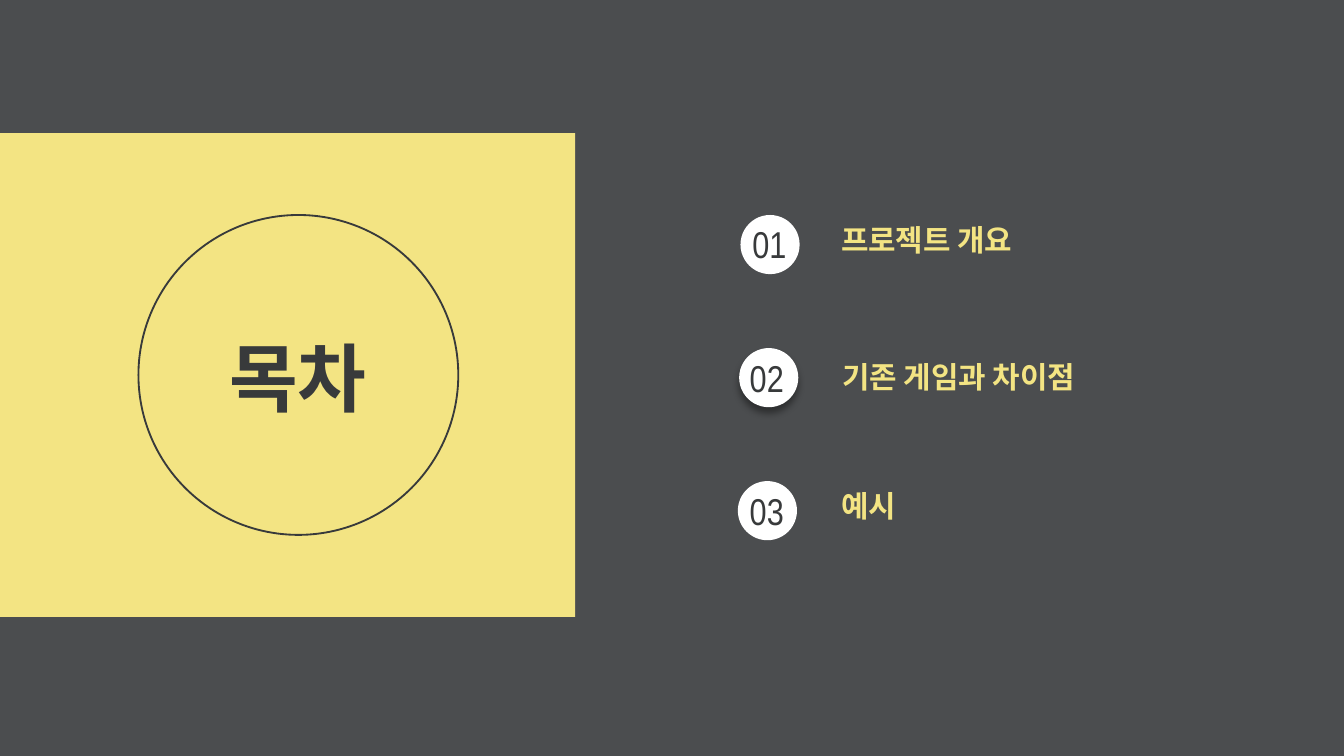
from lxml import etree
from pptx import Presentation
from pptx.dml.color import RGBColor
from pptx.enum import shapes, text
from pptx.oxml import parse_xml
from pptx.oxml.ns import nsdecls, qn
from pptx.util import Inches, Pt

COLORS = {"dark": "4B4D4F", "yellow": "F3E483", "ink": "383A3B", "white": "FFFFFF"}
KOREAN = "Noto Sans CJK KR"


def add_plain_shape(kind, left, top, width, height, fill=None, line=None):
    shape = slide.shapes.add_shape(
        kind, Inches(left), Inches(top), Inches(width), Inches(height))
    shape.shadow.inherit = False
    if fill:
        shape.fill.solid()
        shape.fill.fore_color.rgb = RGBColor.from_string(COLORS[fill])
    else:
        shape.fill.background()
    if line:
        shape.line.color.rgb = RGBColor.from_string(COLORS[line])
        shape.line.width = Pt(1)
    else:
        shape.line.fill.background()
    return shape


def write_text(box, words, size, font, color, bold=False, wrap=False,
               align=text.PP_ALIGN.LEFT):
    frame = box.text_frame
    frame.word_wrap = wrap
    frame.auto_size = text.MSO_AUTO_SIZE.NONE
    frame.vertical_anchor = text.MSO_ANCHOR.TOP
    para = frame.paragraphs[0]
    para.alignment = align
    span = para.add_run()
    span.text = words
    formats = {"size": Pt(size), "name": font, "bold": bold}
    for name, value in formats.items():
        setattr(span.font, name, value)
    span.font.color.rgb = RGBColor.from_string(COLORS[color])
    etree.SubElement(span.font._element, qn("a:ea"), typeface=font)


deck = Presentation()
deck.slide_width = Inches(10)
deck.slide_height = deck.slide_width * 9 // 16
slide = deck.slides.add_slide(deck.slide_layouts[5])
slide.background.fill.solid()
slide.background.fill.fore_color.rgb = RGBColor.from_string(COLORS["dark"])

OVAL = shapes.MSO_SHAPE.OVAL
add_plain_shape(shapes.MSO_SHAPE.RECTANGLE, 0, 0.99, 4.28, 3.6, fill="yellow")
ring = add_plain_shape(OVAL, 1.03, 1.6, 2.38, 2.38, line="ink")

title = slide.shapes.title
place = {"left": 1.21, "top": 2.42, "width": 2.01, "height": 1.49}
for name, value in place.items():
    setattr(title, name, Inches(value))
write_text(title, "목차", 40, KOREAN, "ink", bold=True, wrap=True,
           align=text.PP_ALIGN.CENTER)
ring._element.addnext(title._element)

contents = [
    ("프로젝트 개요", 5.51, 5.5, 6.16, 1.6, 1.61),
    ("기존 게임과 차이점", 5.5, 5.48, 6.17, 2.62, 2.23),
    ("예시", 5.49, 5.48, 6.16, 3.58, 0.65),
]
badges = []
for index, (label, badge_left, number_left, label_left, label_top, label_width) in enumerate(contents):
    top = 1.6 + 0.99 * index
    badges.append(add_plain_shape(OVAL, badge_left, top, 0.44, 0.44, fill="white"))
    number_box = slide.shapes.add_textbox(
        Inches(number_left), Inches(top), Inches(0.48), Inches(0.44))
    write_text(number_box, f"{index + 1:02d}", 20, "Arial Narrow", "ink")
    label_box = slide.shapes.add_textbox(
        Inches(label_left), Inches(label_top), Inches(label_width), Inches(0.37))
    write_text(label_box, label, 16, KOREAN, "yellow", bold=True)

effects = badges[1]._element.spPr.find(qn("a:effectLst"))
effects.append(parse_xml(
    f'<a:outerShdw {nsdecls("a")} blurRad="{Pt(4)}" dist="{Pt(3)}" dir="5400000" '
    'algn="t" rotWithShape="0"><a:srgbClr val="000000"><a:alpha val="40000"/>'
    '</a:srgbClr></a:outerShdw>'))

deck.save("out.pptx")
